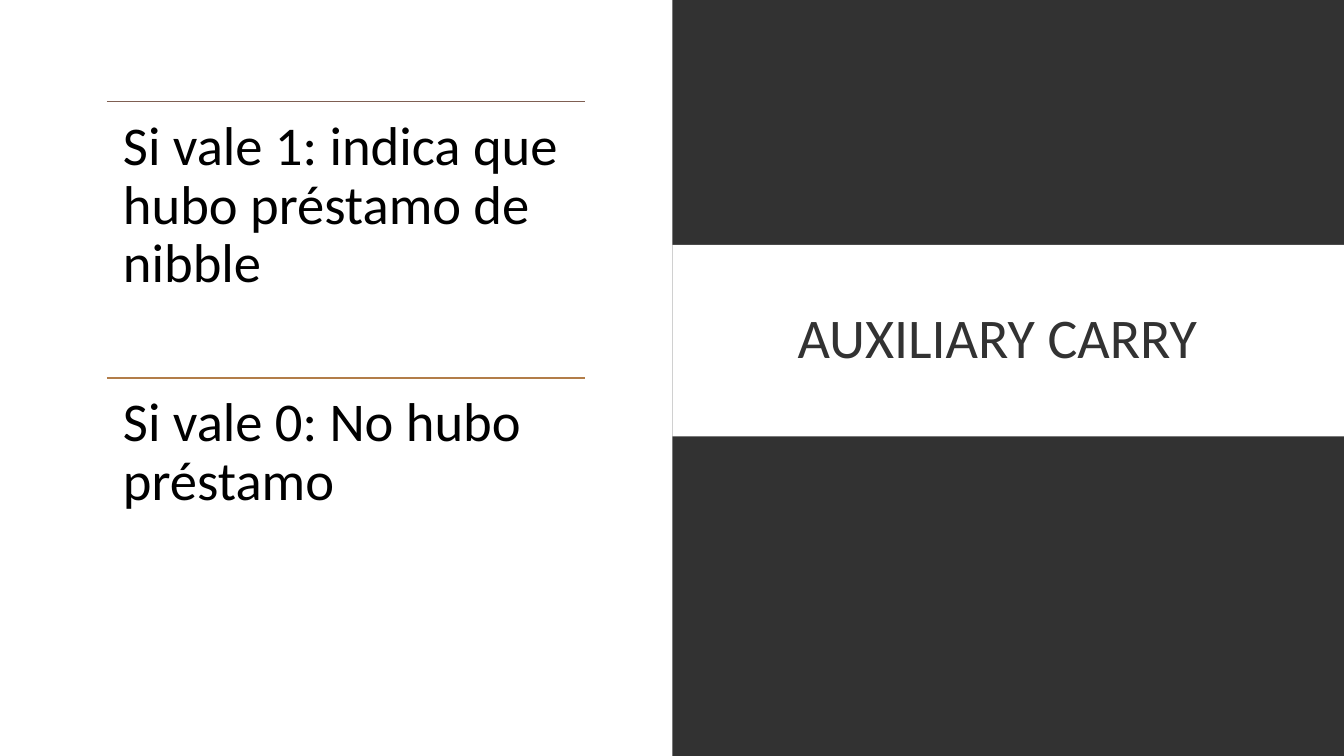
"""Build the Auxiliary Carry slide: two flag meanings beside a titled dark panel."""
import dataclasses

import pptx
import pptx.dml.color
import pptx.enum.shapes
import pptx.enum.text
import pptx.oxml.ns
import pptx.shapes.autoshape
import pptx.slide
import pptx.util
import lxml.etree

Inches = pptx.util.Inches
COLORS = {
    "white": "FFFFFF",
    "charcoal": "323232",
    "black": "000000",
    "brown": "7F5F52",
    "ochre": "B27D49",
}
FONT = "Calibri"
SLIDE_WIDTH, SLIDE_HEIGHT = 13.33, 7.5
HALF_WIDTH = 6.67
MEANING_LEFT, MEANING_TOP = 1.06, 1.01
MEANING_WIDTH, MEANING_HEIGHT = 4.74, 2.74


@dataclasses.dataclass(frozen=True)
class Box:
    left: float
    top: float
    width: float
    height: float

    def lengths(self) -> tuple[int, int, int, int]:
        return Inches(self.left), Inches(self.top), Inches(self.width), Inches(self.height)


@dataclasses.dataclass(frozen=True)
class FlagMeaning:
    text: str
    rule_color: str


@dataclasses.dataclass(frozen=True)
class TextStyle:
    size: float
    color: str
    line_spacing: float
    inset: tuple[float, float]
    align: pptx.enum.text.PP_ALIGN
    anchor: pptx.enum.text.MSO_ANCHOR


TITLE_STYLE = TextStyle(40, "charcoal", 0.85, (0.1, 0.05),
                        pptx.enum.text.PP_ALIGN.CENTER, pptx.enum.text.MSO_ANCHOR.MIDDLE)
MEANING_STYLE = TextStyle(39, "black", 0.9, (0.16, 0.16),
                          pptx.enum.text.PP_ALIGN.LEFT, pptx.enum.text.MSO_ANCHOR.TOP)
FLAG_MEANINGS = [
    FlagMeaning("Si vale 1: indica que hubo préstamo de nibble", "brown"),
    FlagMeaning("Si vale 0: No hubo préstamo", "ochre"),
]


def rgb(name: str) -> pptx.dml.color.RGBColor:
    return pptx.dml.color.RGBColor.from_string(COLORS[name])


def add_panel(slide: pptx.slide.Slide, box: Box, color: str) -> None:
    panel = slide.shapes.add_shape(pptx.enum.shapes.MSO_SHAPE.RECTANGLE, *box.lengths())
    panel.shadow.inherit = False
    panel.fill.solid()
    panel.fill.fore_color.rgb = rgb(color)
    panel.line.fill.background()


def add_text(slide: pptx.slide.Slide, box: Box, text: str, style: TextStyle) -> None:
    frame = slide.shapes.add_textbox(*box.lengths()).text_frame
    frame.word_wrap = True
    frame.vertical_anchor = style.anchor
    frame.margin_left = frame.margin_right = Inches(style.inset[0])
    frame.margin_top = frame.margin_bottom = Inches(style.inset[1])
    frame.text = text
    paragraph = frame.paragraphs[0]
    paragraph.alignment = style.align
    paragraph.line_spacing = style.line_spacing
    font = paragraph.runs[0].font
    font.name = FONT
    font.size = pptx.util.Pt(style.size)
    font.color.rgb = rgb(style.color)


def add_rule(slide: pptx.slide.Slide, top: float, color: str) -> None:
    rule = slide.shapes.add_connector(
        pptx.enum.shapes.MSO_CONNECTOR.STRAIGHT, Inches(MEANING_LEFT), Inches(top),
        Inches(MEANING_LEFT + MEANING_WIDTH), Inches(top))
    rule.line.color.rgb = rgb(color)
    rule.line.width = pptx.util.Pt(0.75)
    properties = rule.element.find(pptx.oxml.ns.qn("p:spPr"))
    lxml.etree.SubElement(properties, pptx.oxml.ns.qn("a:effectLst"))


def main() -> None:
    presentation = pptx.Presentation()
    presentation.slide_width = Inches(SLIDE_WIDTH)
    presentation.slide_height = Inches(SLIDE_HEIGHT)
    slide = presentation.slides.add_slide(presentation.slide_layouts[6])
    slide.background.fill.solid()
    slide.background.fill.fore_color.rgb = rgb("white")

    right_width = SLIDE_WIDTH - HALF_WIDTH
    add_panel(slide, Box(HALF_WIDTH, 0, right_width, SLIDE_HEIGHT), "charcoal")
    add_panel(slide, Box(HALF_WIDTH, 2.43, right_width, 1.9), "white")
    add_text(slide, Box(7.06, 2.56, 5.79, 1.65), "AUXILIARY CARRY ", TITLE_STYLE)

    for row, meaning in enumerate(FLAG_MEANINGS):
        top = MEANING_TOP + row * MEANING_HEIGHT
        add_rule(slide, top, meaning.rule_color)
        add_text(slide, Box(MEANING_LEFT, top, MEANING_WIDTH, MEANING_HEIGHT),
                 meaning.text, MEANING_STYLE)

    presentation.save("out.pptx")


if __name__ == "__main__":
    main()
